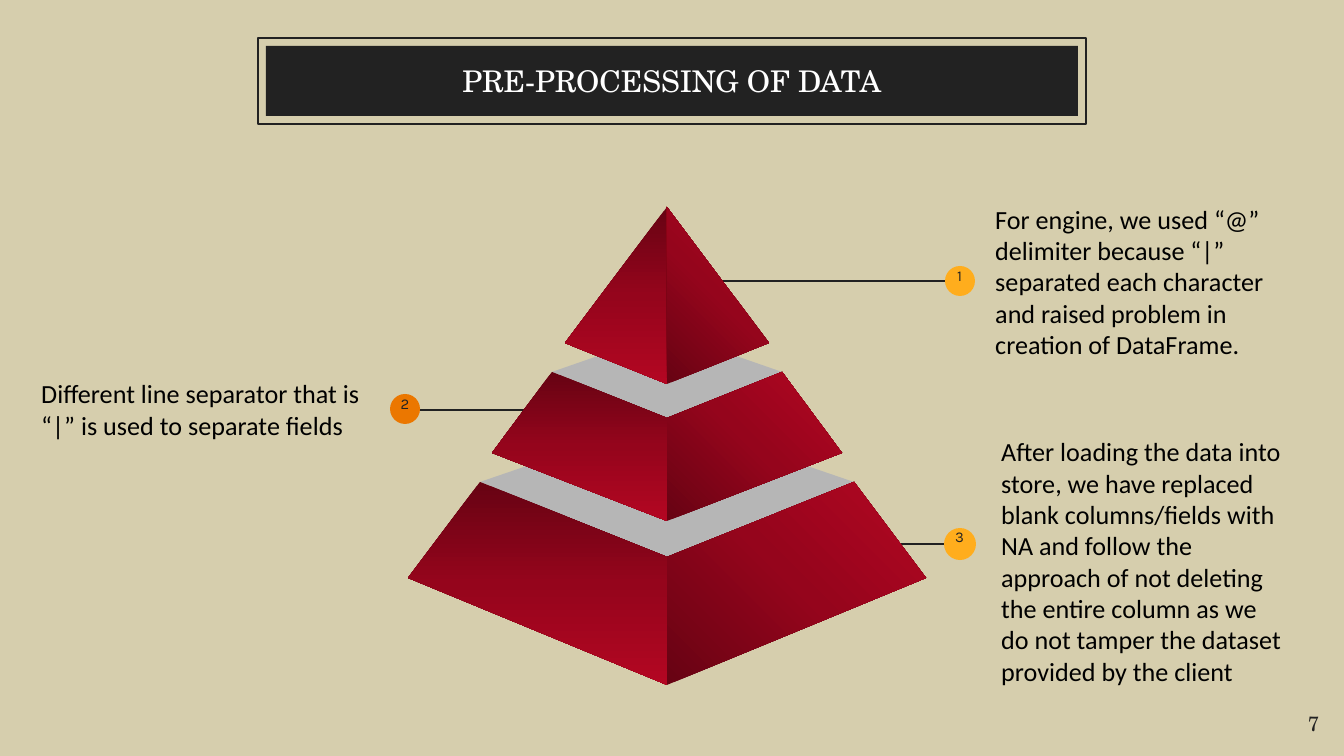
"""Build the slide on pre-processing of data with a three-tier pyramid."""
import copy

import pptx
import pptx.dml.color
import pptx.enum.shapes
import pptx.enum.text
import pptx.oxml.ns
import pptx.util
from lxml import etree

SCALE = 914400 / 134.4
WIDTH, HEIGHT = 1344, 756
COLORS = {
    "background": "D6CEAD", "dark": "222222", "line": "212121",
    "white": "FFFFFF", "black": "000000", "amber": "FFAD1D",
    "orange": "EB7700", "ledge": "B6B6B6",
}
GRADIENT = [(0, "670313"), (0.5, "95051C"), (1, "B30622")]
SERIF, SANS, NUMBER = "TeX Gyre Schola", "Calibri", "Karla"
SHAPE = pptx.enum.shapes.MSO_SHAPE
ALIGN = pptx.enum.text.PP_ALIGN
ANCHOR = pptx.enum.text.MSO_ANCHOR

TITLE = "PRE-PROCESSING OF DATA"
PAGE = "7"
NOTES = [
    {"number": "3", "color": "amber", "line": (883, 976, 544),
     "dot": (960, 544, 32), "label": (940, 519, 39, 51),
     "box": (988, 418, 309, 286),
     "text": "After loading the data into store, we have replaced blank "
             "columns/fields with NA and follow the approach of not deleting "
             "the entire column as we do not tamper the dataset provided by "
             "the client"},
    {"number": "2", "color": "orange", "line": (554, 399, 410),
     "dot": (405, 409, 30), "label": (387, 386, 36, 46),
     "box": (28, 286, 355, 246),
     "text": "Different line separator that is “|” is used to separate fields"},
    {"number": "1", "color": "amber", "line": (716, 973, 281),
     "dot": (960, 281, 30), "label": (941, 258, 37, 46),
     "box": (982, 180, 313, 203),
     "text": "For engine, we used “@” delimiter because “|” separated each "
             "character and raised problem in creation of DataFrame."},
]

CENTER = 667
TIERS = [
    {"back": 418, "face": [(480, 482), (408, 578), (CENTER, 685), (CENTER, 557)]},
    {"back": 332, "face": [(552, 372), (492, 453), (CENTER, 521), (CENTER, 418)]},
    {"back": None, "face": [(CENTER, 207), (565, 343), (CENTER, 384)]},
]


def px(*values):
    return [pptx.util.Emu(round(v * SCALE)) for v in values]


def rgb(value):
    return pptx.dml.color.RGBColor.from_string(COLORS.get(value, value))


def add_text(sp, text, font, size, color, align=ALIGN.LEFT, anchor=ANCHOR.TOP):
    tf = sp.text_frame
    tf.word_wrap = True
    tf.vertical_anchor = anchor
    tf.margin_left = tf.margin_right = pptx.util.Inches(0.1)
    tf.margin_top = tf.margin_bottom = pptx.util.Inches(0.1)
    p = tf.paragraphs[0]
    p.text = text
    p.alignment = align
    p.font.name, p.font.size = font, pptx.util.Pt(size)
    p.font.color.rgb = rgb(color)


def add_shape(s, kind, box, fill=None, line=None):
    sp = s.shapes.add_shape(kind, *px(*box))
    paint(sp, fill, line)
    return sp


def paint(sp, fill=None, line=None):
    sp.shadow.inherit = False
    if fill:
        sp.fill.solid()
        sp.fill.fore_color.rgb = rgb(fill)
    else:
        sp.fill.background()
    if line:
        sp.line.color.rgb = rgb(line)
        sp.line.width = pptx.util.Pt(0.75)
    else:
        sp.line.fill.background()


def add_polygon(s, points):
    builder = s.shapes.build_freeform(*points[0], scale=SCALE)
    builder.add_line_segments(points[1:], close=True)
    sp = builder.convert_to_shape()
    paint(sp)
    return sp


def shade(sp, angle):
    sp.fill.gradient()
    sp.fill.gradient_angle = angle
    stops = sp._element.spPr.find(".//" + pptx.oxml.ns.qn("a:gsLst"))
    stops.insert(1, copy.deepcopy(stops[0]))
    for stop, (position, color) in zip(sp.fill.gradient_stops, GRADIENT):
        stop.position = position
        stop.color.rgb = rgb(color)


def mirror(points):
    return [(2 * CENTER - x, y) for x, y in points]


def add_note(s, note):
    x1, x2, y = note["line"]
    line = s.shapes.add_connector(
        pptx.enum.shapes.MSO_CONNECTOR.STRAIGHT, *px(x1, y, x2, y))
    line.line.color.rgb = rgb("line")
    line.line.width = pptx.util.Pt(0.75)
    etree.SubElement(line._element.spPr, pptx.oxml.ns.qn("a:effectLst"))
    add_text(s.shapes.add_textbox(*px(*note["box"])), note["text"],
             SANS, 14, "black", anchor=ANCHOR.MIDDLE)
    cx, cy, size = note["dot"]
    add_shape(s, SHAPE.OVAL, (cx - size / 2, cy - size / 2, size, size),
              note["color"])
    add_text(s.shapes.add_textbox(*px(*note["label"])), note["number"],
             NUMBER, 8, "dark", ALIGN.CENTER)


def add_tier(s, tier):
    face = tier["face"]
    if tier["back"]:
        left, front = face[0], face[-1]
        ledge = [left, front, mirror([left])[0], (CENTER, tier["back"])]
        paint(add_polygon(s, ledge), "ledge")
    shade(add_polygon(s, face), 270)
    shade(add_polygon(s, mirror(face)), 45)


def main():
    prs = pptx.Presentation()
    prs.slide_width, prs.slide_height = px(WIDTH, HEIGHT)
    s = prs.slides.add_slide(prs.slide_layouts[6])
    s.background.fill.solid()
    s.background.fill.fore_color.rgb = rgb("background")
    add_text(s.shapes.add_textbox(*px(1277, 699, 73, 44)), PAGE,
             SERIF, 11, "dark", ALIGN.CENTER)
    add_shape(s, SHAPE.RECTANGLE, (258, 38, 828, 86), line="dark")
    banner = add_shape(s, SHAPE.RECTANGLE, (266, 46, 812, 70), "dark")
    add_text(banner, TITLE, SERIF, 16, "white", ALIGN.CENTER, ANCHOR.MIDDLE)
    for note in NOTES:
        add_note(s, note)
    for tier in TIERS:
        add_tier(s, tier)
    prs.save("out.pptx")


if __name__ == "__main__":
    main()
